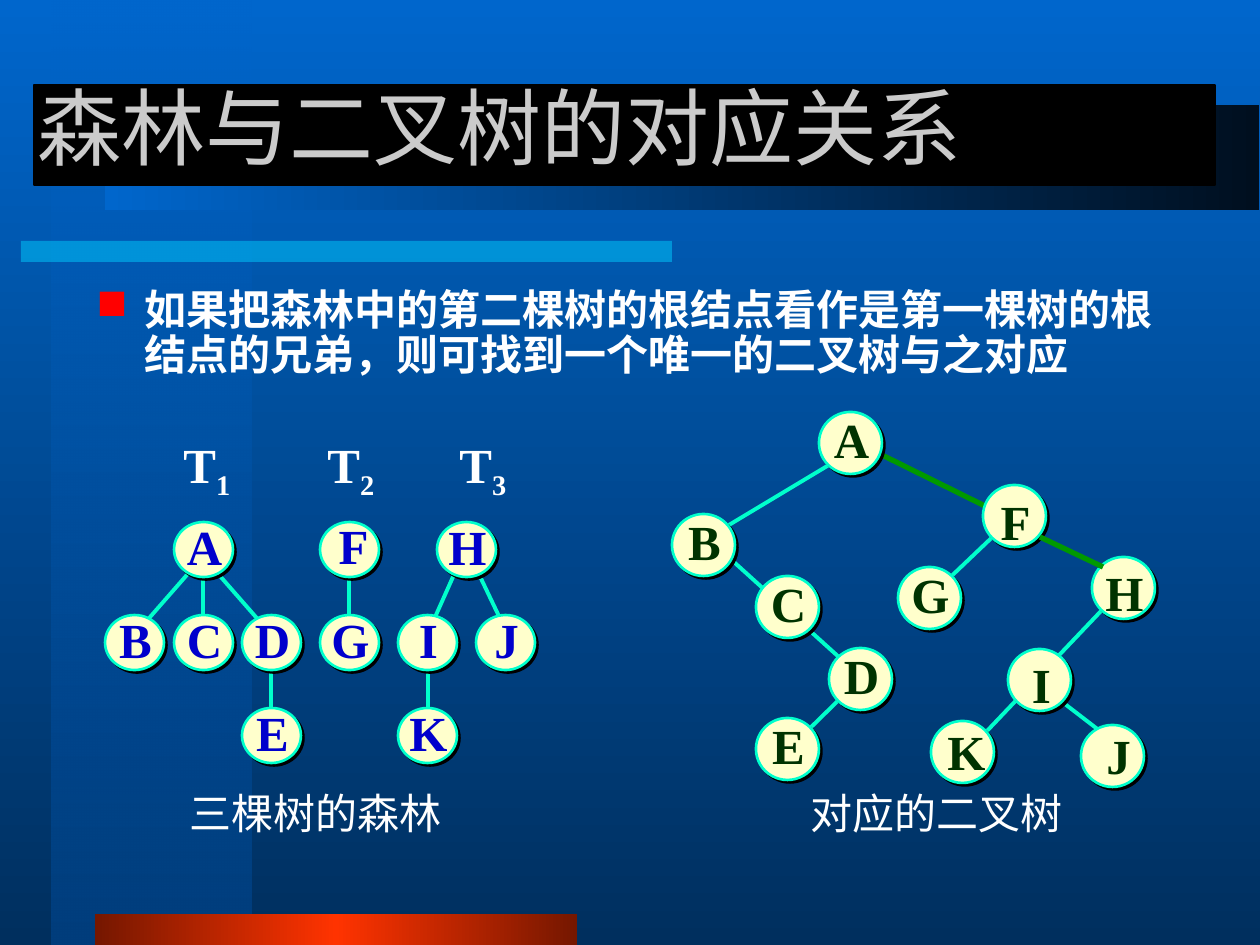
from lxml.etree import SubElement
from pptx import Presentation
from pptx.dml.color import RGBColor
from pptx.enum.shapes import MSO_CONNECTOR, MSO_SHAPE as SHAPE
from pptx.enum.text import MSO_ANCHOR as ANCHOR, PP_ALIGN as ALIGN
from pptx.oxml.ns import qn
from pptx.util import Emu, Pt

PX_PER_INCH = 126
CYAN, GREEN, CREAM, WHITE = "00FFCC", "009900", "FFFFCC", "FFFFFF"
SERIF = "Times New Roman"


def px(n):
    return Emu(round(n * 914400 / PX_PER_INCH))


def rgb(color):
    return RGBColor.from_string(color)


def add(parent, tag, **attributes):
    return SubElement(parent, qn(tag), {k: str(v) for k, v in attributes.items()})


def set_alpha(color_element, percent):
    add(color_element, "a:alpha", val=percent * 1000)


def make_gradient(parent, stops, angle):
    """Replace the solid fill in parent; stops are (position, colour, alpha)."""
    solid = parent.find(qn("a:solidFill"))
    gradient = add(parent, "a:gradFill", rotWithShape=1)
    stop_list = add(gradient, "a:gsLst")
    for position, color, alpha in stops:
        stop = add(stop_list, "a:gs", pos=position * 1000)
        set_alpha(add(stop, "a:srgbClr", val=color), alpha)
    add(gradient, "a:lin", ang=angle * 60000, scaled=0)
    parent.replace(solid, gradient)


def add_filled(slide, kind, box, color, line=None, weight=1):
    shape = slide.shapes.add_shape(kind, *map(px, box))
    shape.shadow.inherit = False
    shape.fill.solid()
    shape.fill.fore_color.rgb = rgb(color)
    if line:
        shape.line.color.rgb = rgb(line)
        shape.line.width = Pt(weight)
    else:
        shape.line.fill.background()
    return shape


def set_font(paragraph, name, size, color, bold=False):
    font = paragraph.font
    font.name, font.size, font.bold = name, Pt(size), bold
    font.color.rgb = rgb(color)
    defaults = paragraph._p.pPr.find(qn("a:defRPr"))
    add(defaults, "a:ea", typeface=name)


def add_text(slide, box, text="", align=ALIGN.LEFT, anchor=ANCHOR.TOP):
    frame = slide.shapes.add_textbox(*map(px, box)).text_frame
    frame.word_wrap = True
    frame.vertical_anchor = anchor
    paragraph = frame.paragraphs[0]
    paragraph.text = text
    paragraph.alignment = align
    return paragraph


def add_edge(slide, left, top, ends, color=CYAN, weight=2.25):
    x1, y1, x2, y2 = ends
    edge = slide.shapes.add_connector(
        MSO_CONNECTOR.STRAIGHT, px(left + x1), px(top + y1), px(left + x2), px(top + y2))
    edge.line.color.rgb = rgb(color)
    edge.line.width = Pt(weight)
    add(edge._element.spPr, "a:effectLst")


def add_node(slide, x, y, size, letter, color, shift=(1, -4)):
    width, height = size
    node = add_filled(slide, SHAPE.OVAL, (x, y, width, height), CREAM, CYAN, 1.5)
    effects = node._element.spPr.find(qn("a:effectLst"))
    shadow = add(effects, "a:outerShdw", dist=Pt(2), dir=45 * 60000, algn="ctr", rotWithShape=0)
    add(shadow, "a:srgbClr", val="000000")

    dx, dy = shift
    label = add_text(slide, (x + dx, y + dy, width, height), letter, ALIGN.CENTER, ANCHOR.MIDDLE)
    frame = slide.shapes[-1].text_frame
    frame.margin_left = frame.margin_right = frame.margin_top = frame.margin_bottom = 0
    set_font(label, SERIF, 28, color, True)


def add_backdrop(slide):
    slide.background.fill.solid()
    make_gradient(slide.element.find(".//" + qn("p:bgPr")),
                  [(0, "0066CC", 100), (100, "002F5E", 100)], 90)
    bands = [  # box, stops, angle
        ((52, 0, 200, 945), [(0, "0066CC", 50), (100, "003E7D", 100)], 90),
        ((95, 914, 482, 31),
         [(0, "751700", 100), (50, "FF3300", 100), (100, "751700", 100)], 180),
        ((105, 105, 1154, 105), [(0, "000F1F", 100), (100, "0066CC", 100)], 180),
    ]
    for box, stops, angle in bands:
        band = add_filled(slide, SHAPE.RECTANGLE, box, stops[0][1])
        make_gradient(band._element.spPr, stops, angle)
    rule = add_filled(slide, SHAPE.RECTANGLE, (21, 241, 651, 21), "00CCFF")
    set_alpha(rule._element.spPr.find(".//" + qn("a:srgbClr")), 50)
    add_filled(slide, SHAPE.RECTANGLE, (34, 85, 1181, 100), "000000", "000000", 0.75)


def add_title(slide, box, text):
    title = slide.shapes.title
    title.left, title.top, title.width, title.height = map(px, box)
    title.text_frame.text = text
    title.text_frame.vertical_anchor = ANCHOR.MIDDLE
    heading = title.text_frame.paragraphs[0]
    heading.alignment = ALIGN.LEFT
    set_font(heading, "Noto Sans CJK JP", 48, "CBCBCB")
    title.element.getparent().append(title.element)  # in front of the black bar


def add_statement(slide, box, text):
    statement = add_text(slide, box, text)
    properties = statement._p.get_or_add_pPr()
    indent = px(48)
    properties.set("marL", str(indent))
    properties.set("indent", str(-indent))
    add(add(properties, "a:buClr"), "a:srgbClr", val="FF0000")
    add(properties, "a:buChar", char="■")
    statement.line_spacing = 0.9
    set_font(statement, "Noto Sans CJK SC", 24, WHITE, True)


def add_tree_names(slide, box, tab_stops):
    names = add_text(slide, box, anchor=ANCHOR.MIDDLE)
    tabs = add(names._p.get_or_add_pPr(), "a:tabLst")
    for stop in tab_stops:
        add(tabs, "a:tab", pos=px(stop), algn="l")
    set_font(names, SERIF, 28, WHITE, True)
    for number in range(1, len(tab_stops) + 2):
        names.add_run().text = "T" if number == 1 else "\tT"
        subscript = names.add_run()
        subscript.text = str(number)
        subscript.font._element.set("baseline", "-25000")


def add_caption(slide, box, text, align):
    set_font(add_text(slide, box, text, align), "Roboto", 24, WHITE)


def add_forest(slide, left, top):
    row_step = 93
    edges = [(371, 46, 402, 111), (352, 46, 323, 111), (108, 46, 157, 102), (88, 46, 39, 102),
             (323, 140, 323, 195), (166, 140, 166, 195), (244, 46, 244, 102), (98, 46, 98, 102)]
    rows = [{"A": 69, "F": 215, "H": 332},
            {"B": 0, "C": 69, "D": 137, "G": 215, "I": 293, "J": 371},
            {"E": 137, "K": 293}]
    for ends in edges:
        add_edge(slide, left, top, ends)
    for level, row in enumerate(rows):
        for letter, x in row.items():
            shift = (4, -5) if letter == "F" else (1, -4)
            add_node(slide, left + x, top + level * row_step, (59, 55), letter, "0000CC", shift)
    add_tree_names(slide, (left + 66, top - 94, 349, 79), (144, 276))
    add_caption(slide, (left + 53, top + 259, 315, 63), "三棵树的森林", ALIGN.CENTER)


def add_binary_tree(slide, left, top):
    edges = [(179, 276, 126, 328), (42, 132, 179, 256), (157, 53, 42, 122),
             (389, 289, 441, 329), (431, 197, 315, 319), (331, 115, 268, 175)]
    nodes = {"A": (147, 0), "B": (0, 102), "C": (84, 164), "D": (157, 236), "E": (84, 306),
             "F": (311, 73), "G": (226, 155), "H": (420, 145), "I": (336, 237),
             "J": (409, 313), "K": (259, 309)}
    shifts = {"F": (1, 5), "H": (1, 4), "I": (2, 4), "J": (6, -1), "K": (4, -1)}
    for ends in edges:
        add_edge(slide, left, top, ends)
    # Green edges join the roots of the forest
    add_edge(slide, left, top, (210, 43, 315, 95), GREEN, 3)
    for letter, (x, y) in nodes.items():
        add_node(slide, left + x, top + y, (63, 62), letter, "003300",
                 shifts.get(letter, (1, -4)))
    add_edge(slide, left, top, (368, 125, 431, 155), GREEN, 3)
    add_caption(slide, (left + 126, top + 369, 294, 63), "对应的二叉树", ALIGN.LEFT)


def main():
    deck = Presentation()
    deck.slide_width, deck.slide_height = px(1260), px(945)
    slide = deck.slides.add_slide(deck.slide_layouts[5])
    add_backdrop(slide)
    add_title(slide, (25, 47, 1071, 157), "森林与二叉树的对应关系")
    add_statement(slide, (84, 283, 1101, 103),
                  "如果把森林中的第二棵树的根结点看作是第一棵树的根结点的兄弟，则可找到一个唯一的二叉树与之对应")
    add_forest(slide, 105, 522)
    add_binary_tree(slide, 672, 412)
    deck.save("out.pptx")


if __name__ == "__main__":
    main()
